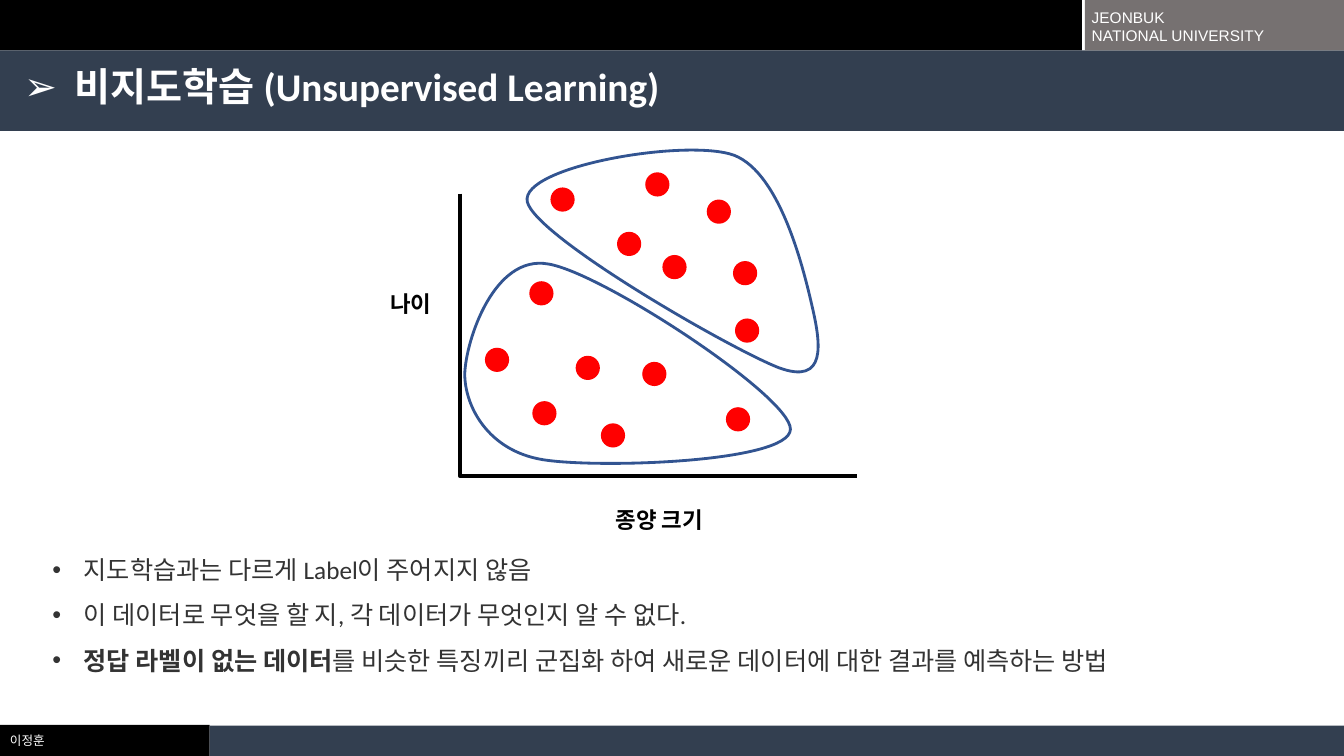
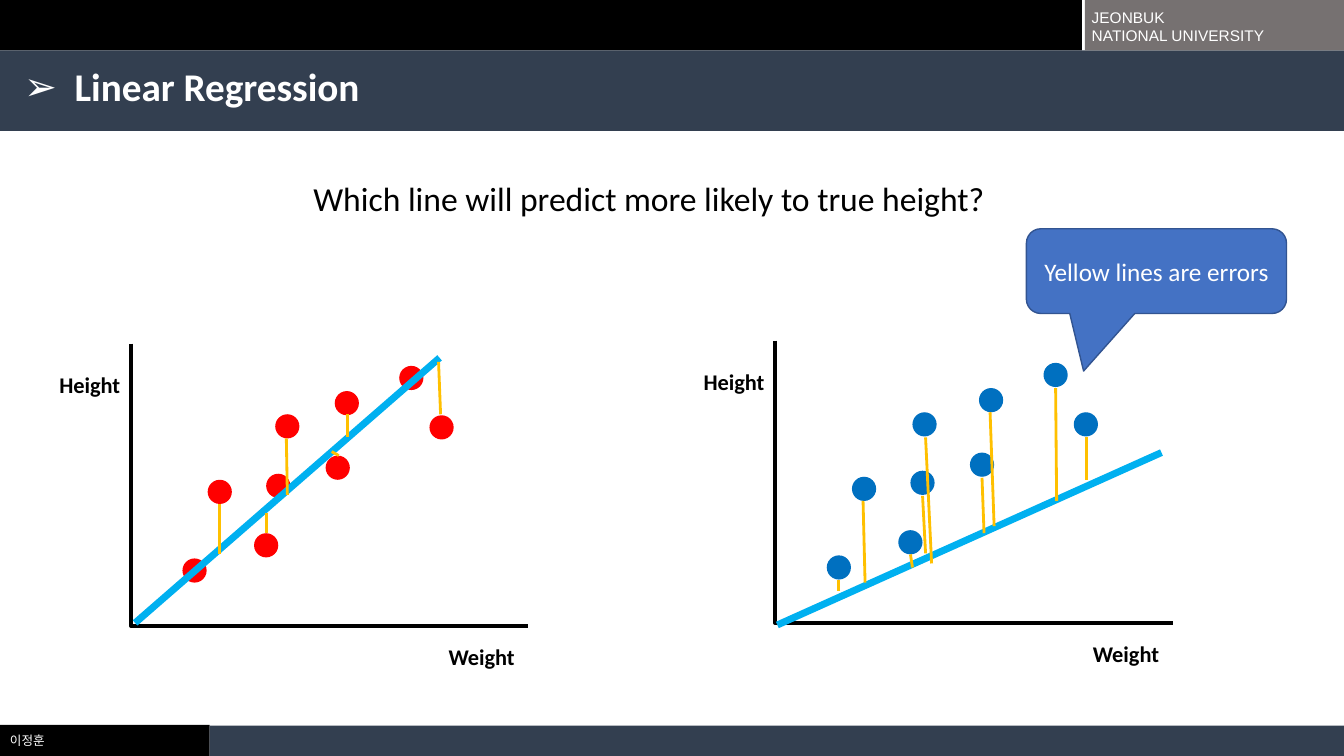
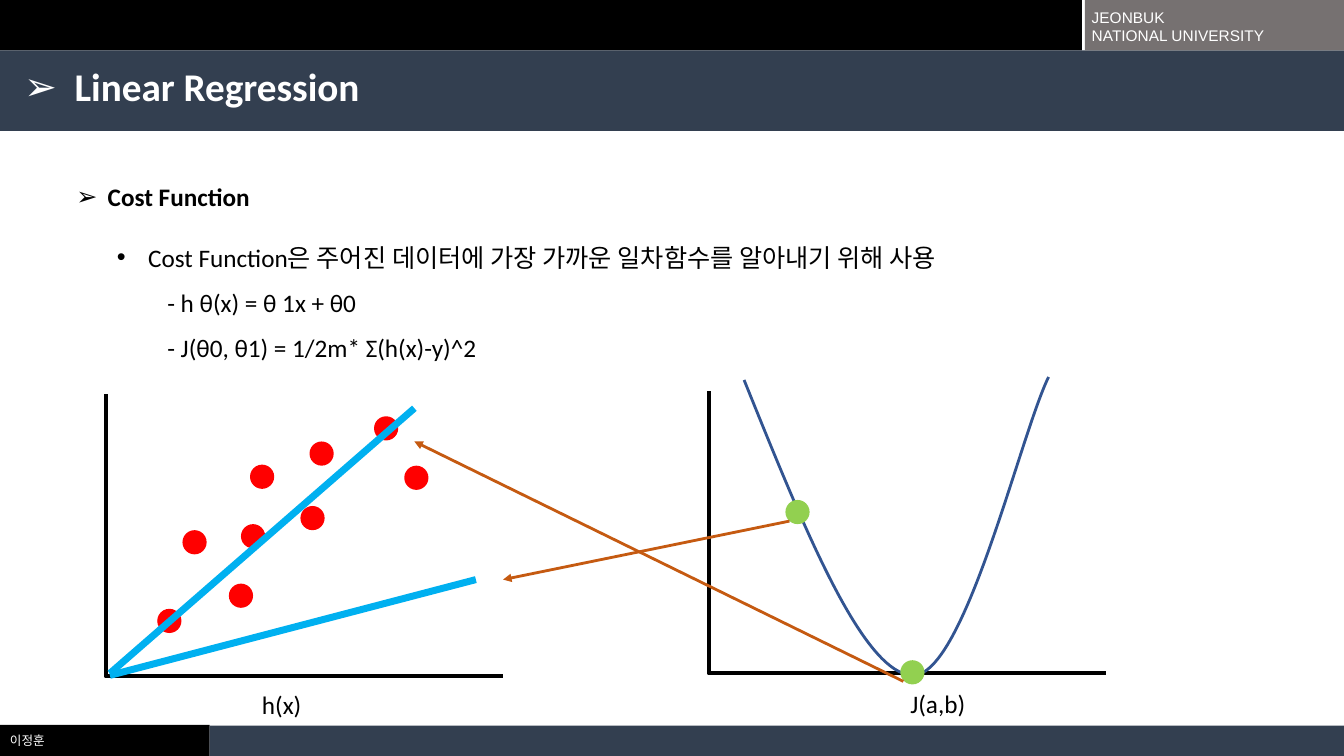
"""Build three slides on unsupervised learning and linear regression."""
from pptx import Presentation
from pptx import util as u
from pptx.dml.color import RGBColor
from pptx.enum import shapes, text
from pptx.oxml import ns, xmlchemy as xc

BLACK = RGBColor(0x00, 0x00, 0x00)
WHITE = RGBColor(0xFF, 0xFF, 0xFF)
NAVY = RGBColor(0x33, 0x3F, 0x50)
GRAY = RGBColor(0x76, 0x71, 0x71)
DARK = RGBColor(0x33, 0x33, 0x33)
RED = RGBColor(0xFF, 0x00, 0x00)
BLUE = RGBColor(0x00, 0x70, 0xC0)
SKY = RGBColor(0x00, 0xB0, 0xF0)
GOLD = RGBColor(0xFF, 0xC0, 0x00)
GREEN = RGBColor(0x92, 0xD0, 0x50)
RUST = RGBColor(0xC5, 0x5A, 0x11)
EDGE = RGBColor(0x32, 0x54, 0x91)
BOX = RGBColor(0x44, 0x72, 0xC4)

KIND = shapes.MSO_SHAPE
MID = text.MSO_ANCHOR.MIDDLE
TOP = text.MSO_ANCHOR.TOP
DOT = 0.24
AXIS_W, AXIS_H = 3.94, 2.8

CLOUD = [(0.51, 2.13), (0.76, 1.35), (1.22, 1.88), (1.43, 0.7), (1.34, 1.29),
         (2.02, 0.47), (1.93, 1.11), (2.66, 0.22), (2.96, 0.71)]


def write(frame, words, size=18, color=BLACK, bold=False, font="Calibri",
          mark=None, left=0, hang=0, space=1, level=0, align=None):
    """Add one paragraph; words is a string or a list of (string, bold)."""
    para = frame.add_paragraph() if frame.text else frame.paragraphs[0]
    para.level, para.line_spacing = level, space
    para.space_before = u.Pt(0)
    para.alignment = align or text.PP_ALIGN.LEFT
    props = para._p.get_or_add_pPr()
    props.set("marL", str(u.Inches(left)))
    props.set("indent", str(u.Inches(-hang)))
    if mark:
        face = xc.OxmlElement("a:buFont")
        face.set("typeface", "Arial")
        sign = xc.OxmlElement("a:buChar")
        sign.set("char", mark)
        props.extend([face, sign])
    else:
        props.append(xc.OxmlElement("a:buNone"))
    for part, heavy in [(words, bold)] if isinstance(words, str) else words:
        run = para.add_run()
        run.text = part
        run.font.name, run.font.size = font, u.Pt(size)
        run.font.bold, run.font.color.rgb = heavy, color


def place(shape, x, y, w, h, anchor=TOP):
    """Move a text shape and return its wrapping frame."""
    shape.left, shape.top, shape.width, shape.height = map(u.Inches, (x, y, w, h))
    frame = shape.text_frame
    frame.word_wrap, frame.vertical_anchor = True, anchor
    frame.auto_size = text.MSO_AUTO_SIZE.NONE
    return frame


def label(slide, words, x, y, w, h=0.4, anchor=TOP, **look):
    """Add a text box with one paragraph per line."""
    box = slide.shapes.add_textbox(0, 0, 0, 0)
    frame = place(box, x, y, w, h, anchor)
    for line in words.split("\n"):
        write(frame, line, **look)
    return box


def block(slide, kind, x, y, w, h, fill, edge=None):
    """Add a filled preset shape."""
    shape = slide.shapes.add_shape(kind, *map(u.Inches, (x, y, w, h)))
    shape.shadow.inherit = False
    shape.fill.solid()
    shape.fill.fore_color.rgb = fill
    if edge:
        shape.line.color.rgb, shape.line.width = edge, u.Pt(1)
    else:
        shape.line.fill.background()
    return shape


def dots(slide, spots, color, x=0, y=0):
    """Add round points at offsets from a corner."""
    for dx, dy in spots:
        block(slide, KIND.OVAL, x + dx, y + dy, DOT, DOT, color)


def line(slide, ends, color, width=2, arrow=False):
    """Add a straight line through (x1, y1, x2, y2)."""
    link = slide.shapes.add_connector(
        shapes.MSO_CONNECTOR.STRAIGHT, *map(u.Inches, ends))
    link.line.color.rgb, link.line.width = color, u.Pt(width)
    link.element.spPr.append(xc.OxmlElement("a:effectLst"))
    if arrow:
        tip = xc.OxmlElement("a:tailEnd")
        tip.set("type", "triangle")
        link.line._get_or_add_ln().append(tip)


def trace(slide, spots, color, width, close=False):
    """Add an unfilled outline through the given points."""
    first, *rest = [(u.Inches(x), u.Inches(y)) for x, y in spots]
    pen = slide.shapes.build_freeform(*first)
    pen.add_line_segments(rest, close=close)
    shape = pen.convert_to_shape()
    shape.shadow.inherit = False
    shape.fill.background()
    shape.line.color.rgb, shape.line.width = color, u.Pt(width)
    return shape


def curve(slide, spots, close=False):
    """Add a curve from a start point and triples of Bezier points."""
    shape = trace(slide, spots, EDGE, 2, close)
    geo = shape.element.xpath(".//a:path")[0]
    legs = geo.findall(ns.qn("a:lnTo"))
    for i in range(0, len(legs), 3):
        bend = xc.OxmlElement("a:cubicBezTo")
        legs[i].addprevious(bend)
        for leg in legs[i:i + 3]:
            bend.append(leg[0])
            geo.remove(leg)


def axes(slide, x, y):
    """Add an L of two axes from its top left corner."""
    trace(slide, [(x, y), (x, y + AXIS_H), (x + AXIS_W, y + AXIS_H)], BLACK, 3)


def plot(slide, x, y, color, cloud):
    """Add a height and weight scatter plot."""
    axes(slide, x, y)
    dots(slide, cloud, color, x, y)
    label(slide, "Height", x - 0.81, y + 0.22, 1.05, size=16, bold=True)
    label(slide, "Weight", x + 3.05, y + 2.92, 1.08, size=16, bold=True)


def brand(deck, slide):
    """Build the shared bands and move them to the slide master."""
    bands = [(0, 7.19, 2.08, 0.31, BLACK), (2.08, 7.2, 11.25, 0.3, NAVY),
             (0, 0, 10.73, 0.5, BLACK), (0, 0.5, 13.33, 0.8, NAVY),
             (10.76, 0, 2.57, 0.5, GRAY)]
    parts = [block(slide, KIND.RECTANGLE, *band) for band in bands]
    look = dict(anchor=MID, font="Arial", color=WHITE)
    parts.append(label(slide, "JEONBUK\nNATIONAL UNIVERSITY",
                       10.73, 0.11, 2.03, 0.3, size=11, **look))
    parts.append(label(slide, "이정훈", 0, 7.2, 0.92, 0.29, size=9, **look))
    tree = deck.slide_master.shapes.element
    for num, part in enumerate(parts, 20):
        part.element.xpath(".//p:cNvPr")[0].set("id", str(num))
        tree.append(part.element)


def start(deck, layout, title):
    """Add a slide with its title."""
    slide = deck.slides.add_slide(deck.slide_layouts[layout])
    frame = place(slide.shapes.title, 0.14, 0.61, 8.62, 0.55, MID)
    write(frame, title, size=28, color=WHITE, bold=True,
          mark="➢", left=0.5, hang=0.5, space=0.9)
    return slide


def groups(deck):
    """Build the slide on unsupervised learning."""
    slide = start(deck, 1, "비지도학습 (Unsupervised Learning)")
    brand(deck, slide)
    axes(slide, 4.56, 1.92)
    label(slide, "나이", 3.77, 2.83, 1.05, size=16, bold=True)
    label(slide, "종양 크기", 6.01, 4.97, 1.27, size=16, bold=True)
    dots(slide, [(4.81, 3.45), (5.28, 3.98), (6.57, 2.53), (5.25, 2.79),
                 (5.71, 3.53), (5.96, 4.2), (7.27, 2.59), (7.29, 3.16),
                 (5.46, 1.86), (7.01, 1.98), (6.4, 1.71), (6.12, 2.3),
                 (6.37, 3.59), (7.2, 4.04)], RED)
    curve(slide, [(5.38, 4.56), (4.84, 4.47), (4.61, 4.03), (4.61, 3.71),
                  (4.62, 3.38), (4.9, 2.52), (5.44, 2.62),
                  (5.98, 2.71), (7.85, 3.94), (7.84, 4.26),
                  (7.83, 4.59), (5.92, 4.65), (5.38, 4.56)], True)
    curve(slide, [(7.73, 3.65), (7.26, 3.47), (5.31, 2.35), (5.23, 2),
                  (5.16, 1.65), (6.81, 1.37), (7.28, 1.54),
                  (7.75, 1.72), (7.98, 2.71), (8.06, 3.06),
                  (8.14, 3.41), (8.2, 3.82), (7.73, 3.65)], True)
    frame = place(slide.placeholders[1], 0.42, 5.3, 11.53, 1.87)
    for words in ("지도학습과는 다르게 Label이 주어지지 않음",
                  "이 데이터로 무엇을 할 지, 각 데이터가 무엇인지 알 수 없다.",
                  [("정답 라벨이 없는 데이터", True),
                   ("를 비슷한 특징끼리 군집화 하여 새로운 데이터에 대한 "
                    "결과를 예측하는 방법", False)]):
        write(frame, words, color=DARK, mark="•", left=0.31, hang=0.31, space=1.5)


def errors(deck):
    """Build the slide that compares two fitted lines."""
    slide = start(deck, 5, "Linear Regression")
    label(slide, "Which line will predict more likely to true height?",
          3.01, 1.72, 6.93, 0.5, size=24)
    plot(slide, 1.3, 3.41, RED, CLOUD)
    plot(slide, 7.69, 3.38, BLUE, [*CLOUD[:3], (1.36, 0.71), *CLOUD[4:]])
    for ends in ((1.34, 6.18, 4.36, 3.55), (7.71, 6.2, 11.52, 4.49)):
        line(slide, ends, SKY, 5)
    for ends in ((2.18, 5, 2.18, 5.5), (2.64, 5.09, 2.64, 5.29),
                 (2.84, 4.35, 2.85, 4.91), (3.45, 4.11, 3.45, 4.34),
                 (3.29, 4.48, 3.36, 4.52), (4.35, 3.59, 4.37, 4.11),
                 (8.32, 5.75, 8.32, 5.86), (8.56, 4.97, 8.58, 5.78),
                 (9.03, 5.5, 9.05, 5.63), (9.15, 4.92, 9.18, 5.49),
                 (9.18, 4.34, 9.24, 5.59), (9.74, 4.74, 9.76, 5.29),
                 (9.82, 4.09, 9.86, 5.22), (10.47, 3.85, 10.48, 4.97),
                 (10.78, 4.34, 10.78, 4.76)):
        line(slide, ends, GOLD)
    size = (10.18, 2.27, 2.58, 0.84)
    note = block(slide, KIND.ROUNDED_RECTANGULAR_CALLOUT, *size, BOX, EDGE)
    for i, value in enumerate((-0.28, 1.18, 0.17)):
        note.adjustments[i] = value
    write(place(note, *size, MID), "Yellow lines are errors",
          color=WHITE, align=text.PP_ALIGN.CENTER)


def cost(deck):
    """Build the slide on the cost function."""
    slide = start(deck, 1, "Linear Regression")
    frame = place(slide.placeholders[1], 1.06, 2.2, 8.95, 1.42)
    write(frame, "Cost Function은 주어진 데이터에 가장 가까운 일차함수를 "
          "알아내기 위해 사용", mark="•", left=0.31, hang=0.31, space=1.5)
    for words in ("- h θ(x) = θ 1x + θ0", "- J(θ0, θ1) = 1/2m* Σ(h(x)-y)^2"):
        write(frame, words, level=1, left=0.5, space=1.5)
    label(slide, "Cost Function", 0.66, 1.75, 6.68, bold=True,
          mark="➢", left=0.31, hang=0.31)
    axes(slide, 1.05, 3.91)
    dots(slide, CLOUD, RED, 1.05, 3.91)
    for ends in ((1.09, 6.68, 4.11, 4.05), (1.09, 6.7, 4.72, 5.75)):
        line(slide, ends, SKY, 5)
    axes(slide, 7.03, 3.88)
    label(slide, "h(x)", 2.5, 6.64, 0.7, 0.51, space=1.5)
    label(slide, "J(a,b)", 8.93, 6.63, 0.85, 0.51, space=1.5)
    curve(slide, [(7.38, 3.77), (7.97, 5.23), (8.56, 6.7), (9.06, 6.7),
                  (9.57, 6.69), (10.12, 4.31), (10.4, 3.74)])
    dots(slide, [(8.93, 6.55), (7.79, 4.96)], GREEN)
    for ends in ((8.96, 6.76, 4.11, 4.38), (7.83, 5.17, 4.99, 5.75)):
        line(slide, ends, RUST, arrow=True)


def main():
    """Build and save the deck."""
    deck = Presentation()
    deck.slide_width, deck.slide_height = u.Inches(13.33), u.Inches(7.5)
    groups(deck)
    errors(deck)
    cost(deck)
    deck.save("out.pptx")


if __name__ == "__main__":
    main()
